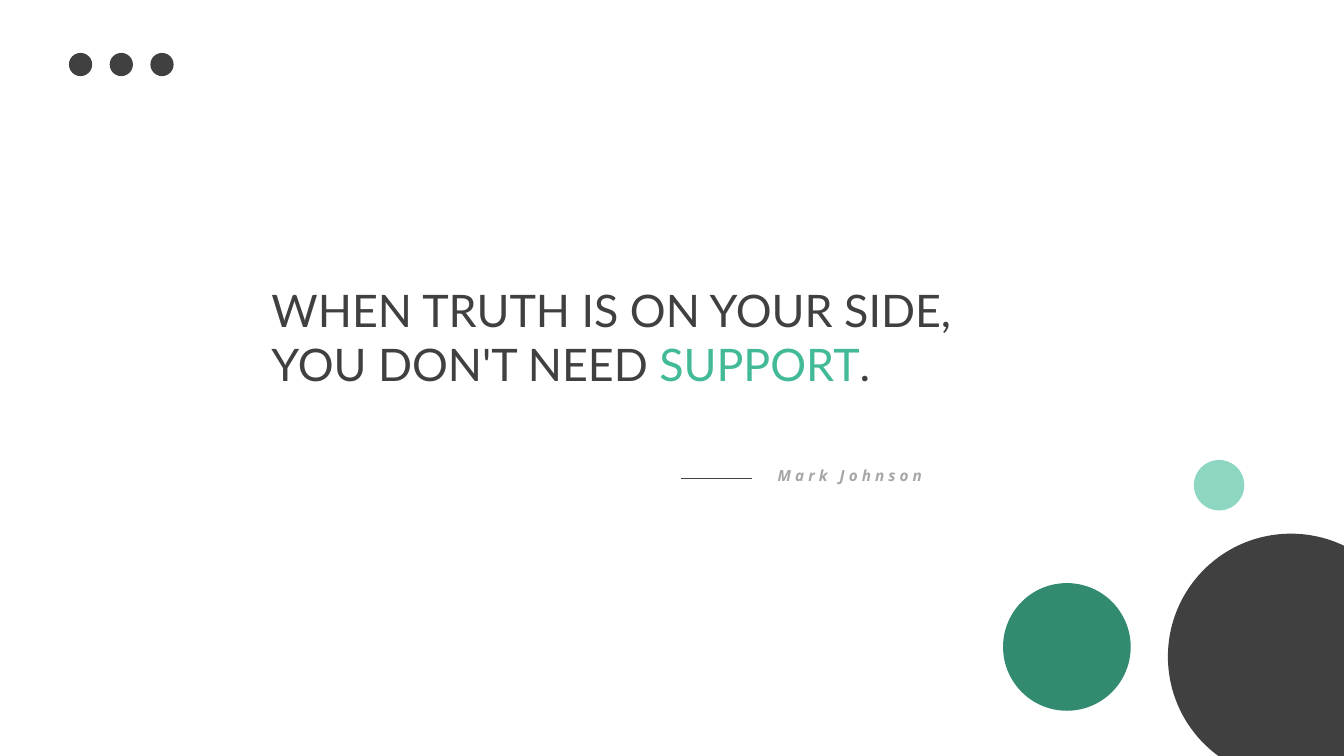
from dataclasses import dataclass

from lxml.etree import SubElement
from pptx import Presentation
from pptx.dml.color import RGBColor
from pptx.enum.shapes import MSO_CONNECTOR, MSO_SHAPE
from pptx.enum.text import MSO_ANCHOR, MSO_AUTO_SIZE, PP_ALIGN
from pptx.oxml.ns import qn
from pptx.util import Inches, Pt

WIDTH = Inches(10)
HEIGHT = WIDTH * 9 // 16
COLORS = {
    "dark": "404040",
    "accent": "42BA97",
    "deep": "328B71",
    "pale": "8DD6C1",
    "gray": "A6A6A6",
}


@dataclass(frozen=True)
class Circle:
    left: float
    top: float
    diameter: float
    color: str


@dataclass(frozen=True)
class Span:
    text: str
    color: str


def color_of(name: str) -> RGBColor:
    return RGBColor.from_string(COLORS[name])


def across(percent: float) -> int:
    return round(WIDTH * percent / 100)


def down(percent: float) -> int:
    return round(HEIGHT * percent / 100)


def place(box, left: float, top: float, width: float, height: float) -> None:
    box.left, box.top = across(left), down(top)
    box.width, box.height = across(width), down(height)


def draw_circle(page, circle: Circle) -> None:
    size = across(circle.diameter)
    shape = page.shapes.add_shape(
        MSO_SHAPE.OVAL, across(circle.left), down(circle.top), size, size
    )
    shape.shadow.inherit = False
    shape.fill.solid()
    shape.fill.fore_color.rgb = color_of(circle.color)
    shape.line.fill.background()


def draw_quote(page, spans: list[Span]) -> None:
    box = page.shapes.title
    place(box, 19.2, 36.55, 59.1, 16.2)
    frame = box.text_frame
    frame.word_wrap = True
    frame.auto_size = MSO_AUTO_SIZE.NONE
    frame.vertical_anchor = MSO_ANCHOR.TOP
    para = frame.paragraphs[0]
    para.alignment = PP_ALIGN.LEFT
    for span in spans:
        run = para.add_run()
        run.text = span.text
        run.font.name = "Lato"
        run.font.size = Pt(24)
        run.font.color.rgb = color_of(span.color)


def draw_author(page, name: str) -> None:
    box = page.shapes.add_textbox(0, 0, 0, 0)
    place(box, 55.9, 60.85, 13.7, 4.27)
    frame = box.text_frame
    frame.word_wrap = True
    frame.margin_left = frame.margin_right = Inches(0.1)
    frame.margin_top = frame.margin_bottom = Inches(0.05)
    frame.text = name
    para = frame.paragraphs[0]
    para.alignment = PP_ALIGN.RIGHT
    font = para.runs[0].font
    font.name = "Open Sans"
    font.size = Pt(8.2)
    font.bold = font.italic = True
    font.color.rgb = color_of("gray")
    para.runs[0]._r.get_or_add_rPr().set("spc", "220")


def draw_dash(page, start: float, end: float, level: float) -> None:
    dash = page.shapes.add_connector(
        MSO_CONNECTOR.STRAIGHT, across(start), down(level), across(end), down(level)
    )
    dash.line.color.rgb = color_of("dark")
    dash.line.width = Pt(0.5)
    SubElement(dash._element.spPr, qn("a:effectLst"))


QUOTE = [
    Span("WHEN TRUTH IS ON YOUR SIDE, YOU DON'T NEED ", "dark"),
    Span("SUPPORT", "accent"),
    Span(".", "dark"),
]
BUBBLES = [
    Circle(74.63, 77.13, 9.5, "deep"),
    Circle(88.83, 60.85, 3.75, "pale"),
    Circle(86.9, 70.6, 18.3, "dark"),
]
BADGES = [Circle(5.13 + 3.03 * column, 7, 1.73, "dark") for column in range(3)]

deck = Presentation()
deck.slide_width, deck.slide_height = WIDTH, HEIGHT
page = deck.slides.add_slide(deck.slide_layouts[5])
draw_quote(page, QUOTE)
draw_author(page, "Mark Johnson")
draw_dash(page, 50.7, 55.93, 63.3)
for circle in BUBBLES + BADGES:
    draw_circle(page, circle)
deck.save("out.pptx")
